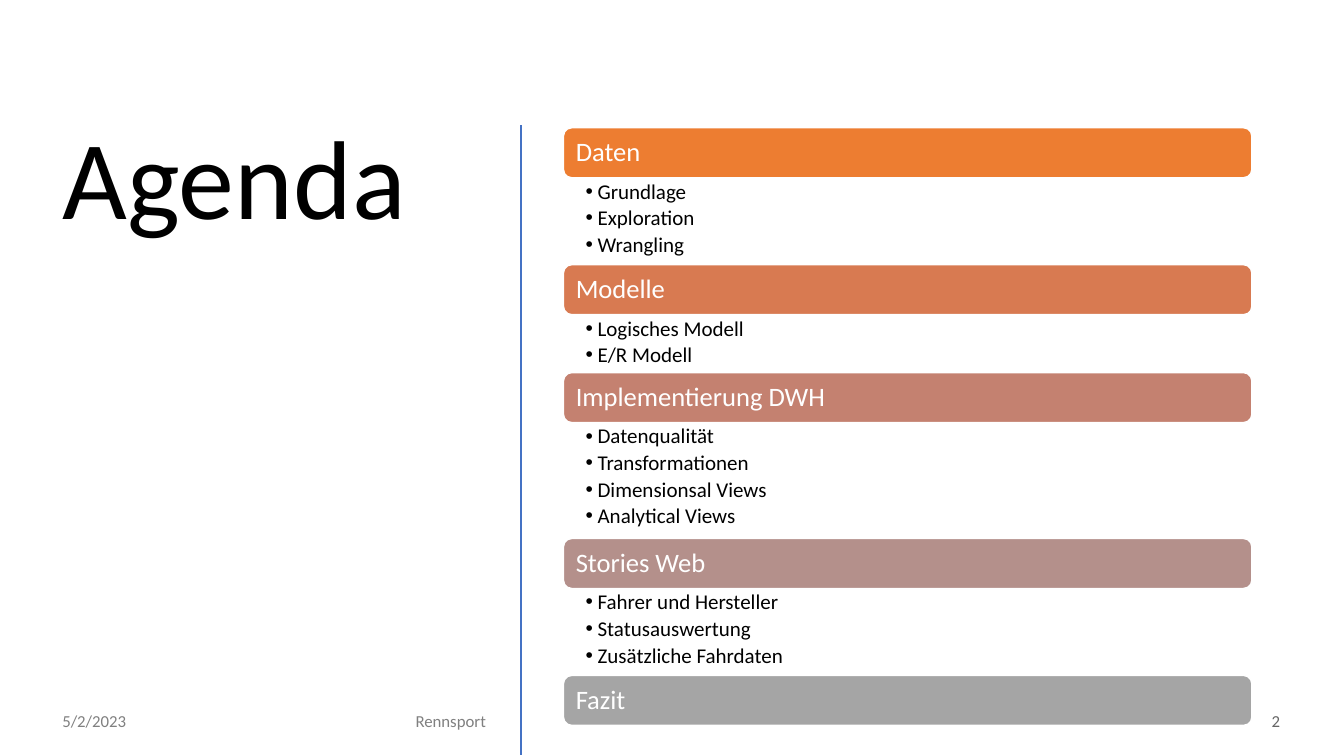
from lxml import etree
from pptx import Presentation
from pptx.dml.color import RGBColor
from pptx.enum.shapes import MSO_CONNECTOR, MSO_SHAPE
from pptx.enum.text import MSO_ANCHOR as Anchor, MSO_AUTO_SIZE as AutoSize, PP_ALIGN as Align
from pptx.oxml.ns import qn
from pptx.util import Cm, Pt

COLORS = {
    "text": "000000",
    "white": "FFFFFF",
    "footer": "808080",
    "number": "666666",
    "divider": "4472C4",
}
FONT = "Calibri"
BAR_HEIGHT = 1.26
ITEM_HEIGHT = 0.73
COMPARISON_LAYOUT = 4  # a title and four body placeholders

SECTIONS = [
    ("Daten", "ED7D31", ["Grundlage", "Exploration", "Wrangling"]),
    ("Modelle", "D87A51", ["Logisches Modell", "E/R Modell"]),
    ("Implementierung DWH", "C48170",
     ["Datenqualität", "Transformationen", "Dimensionsal Views", "Analytical Views"]),
    ("Stories Web", "B4908B",
     ["Fahrer und Hersteller", "Statusauswertung", "Zusätzliche Fahrdaten"]),
    ("Fazit", "A5A5A5", []),
]


def rgb(value):
    return RGBColor.from_string(value)


def place(shape, left, top, width, height):
    shape.left, shape.top = Cm(left), Cm(top)
    shape.width, shape.height = Cm(width), Cm(height)


def set_frame(shape, anchor, margins=(0.25, 0.13, 0.25, 0.13)):
    """Set wrapping, anchor and margins (left, top, right, bottom in cm)."""
    frame = shape.text_frame
    frame.word_wrap = True
    frame.auto_size = AutoSize.NONE
    frame.vertical_anchor = anchor
    (frame.margin_left, frame.margin_top,
     frame.margin_right, frame.margin_bottom) = map(Cm, margins)
    return frame


def write(paragraph, text, size, color, align=Align.LEFT, spacing=0.9, after=0):
    paragraph.alignment = align
    paragraph.line_spacing = spacing
    paragraph.space_before = Pt(0)
    paragraph.space_after = Pt(after)
    run = paragraph.add_run()
    run.text = text
    run.font.name = FONT
    run.font.size = Pt(size)
    run.font.bold = False
    run.font.color.rgb = rgb(color)


def add_bullet(paragraph):
    properties = paragraph._p.get_or_add_pPr()
    properties.set("marL", str(Cm(0.3)))
    properties.set("indent", str(-Cm(0.3)))
    etree.SubElement(properties, qn("a:buFont"), typeface="Arial")
    etree.SubElement(properties, qn("a:buChar"), char="•")


def fill_title(slide, left, top, width, height):
    title = slide.shapes.title
    place(title, left, top, width, height)
    frame = set_frame(title, Anchor.TOP)
    write(frame.paragraphs[0], "Agenda", 80, COLORS["text"])


def add_divider(slide, left, top, bottom):
    line = slide.shapes.add_connector(
        MSO_CONNECTOR.STRAIGHT, Cm(left), Cm(top), Cm(left), Cm(bottom))
    line.line.color.rgb = rgb(COLORS["divider"])
    line.line.width = Pt(2)
    etree.SubElement(line._element.spPr, qn("a:effectLst"))


def add_section_bar(slide, heading, color, left, top, width):
    bar = slide.shapes.add_shape(
        MSO_SHAPE.ROUNDED_RECTANGLE, Cm(left), Cm(top), Cm(width), Cm(BAR_HEIGHT))
    bar.shadow.inherit = False
    bar.fill.solid()
    bar.fill.fore_color.rgb = rgb(color)
    bar.line.color.rgb = rgb(COLORS["white"])
    bar.line.width = Pt(1)
    frame = set_frame(bar, Anchor.MIDDLE)
    write(frame.paragraphs[0], heading, 19, COLORS["white"])


def fill_section_list(body, items, left, top, width, height):
    place(body, left, top, width, height)
    frame = set_frame(body, Anchor.TOP, (0.56, 0.08, 0.38, 0.08))
    for index, item in enumerate(items):
        paragraph = frame.add_paragraph() if index else frame.paragraphs[0]
        paragraph.level = 1
        add_bullet(paragraph)
        write(paragraph, item, 15, COLORS["text"], after=2.8)


def add_agenda(slide, left, top, width):
    """Stack the section bars, each followed by its list."""
    bodies = iter([shape for shape in slide.placeholders
                   if shape.placeholder_format.idx > 0])
    for heading, color, items in SECTIONS:
        add_section_bar(slide, heading, color, left, top, width)
        top += BAR_HEIGHT
        if items:
            height = ITEM_HEIGHT * len(items)
            fill_section_list(next(bodies), items, left, top, width, height)
            top += height


def add_footer(slide, top, height):
    entries = [
        ("5/2/2023", 1.32, 3.38, Align.LEFT, COLORS["footer"]),
        ("Rennsport", 4.7, 7.8, Align.RIGHT, COLORS["footer"]),
        ("2", 24.89, 7.62, Align.RIGHT, COLORS["number"]),
    ]
    for text, left, width, align, color in entries:
        box = slide.shapes.add_textbox(Cm(left), Cm(top), Cm(width), Cm(height))
        frame = set_frame(box, Anchor.MIDDLE)
        write(frame.paragraphs[0], text, 12, color, align, spacing=1.0, after=6)


def main():
    presentation = Presentation()
    presentation.slide_width, presentation.slide_height = Cm(33.87), Cm(19.05)
    slide = presentation.slides.add_slide(presentation.slide_layouts[COMPARISON_LAYOUT])
    fill_title(slide, 1.32, 2.97, 10.95, 15.52)
    add_divider(slide, 13.13, 3.15, 19.03)
    add_agenda(slide, 14.2, 3.22, 17.35)
    add_footer(slide, 17.65, 1.02)
    presentation.save("out.pptx")


if __name__ == "__main__":
    main()
